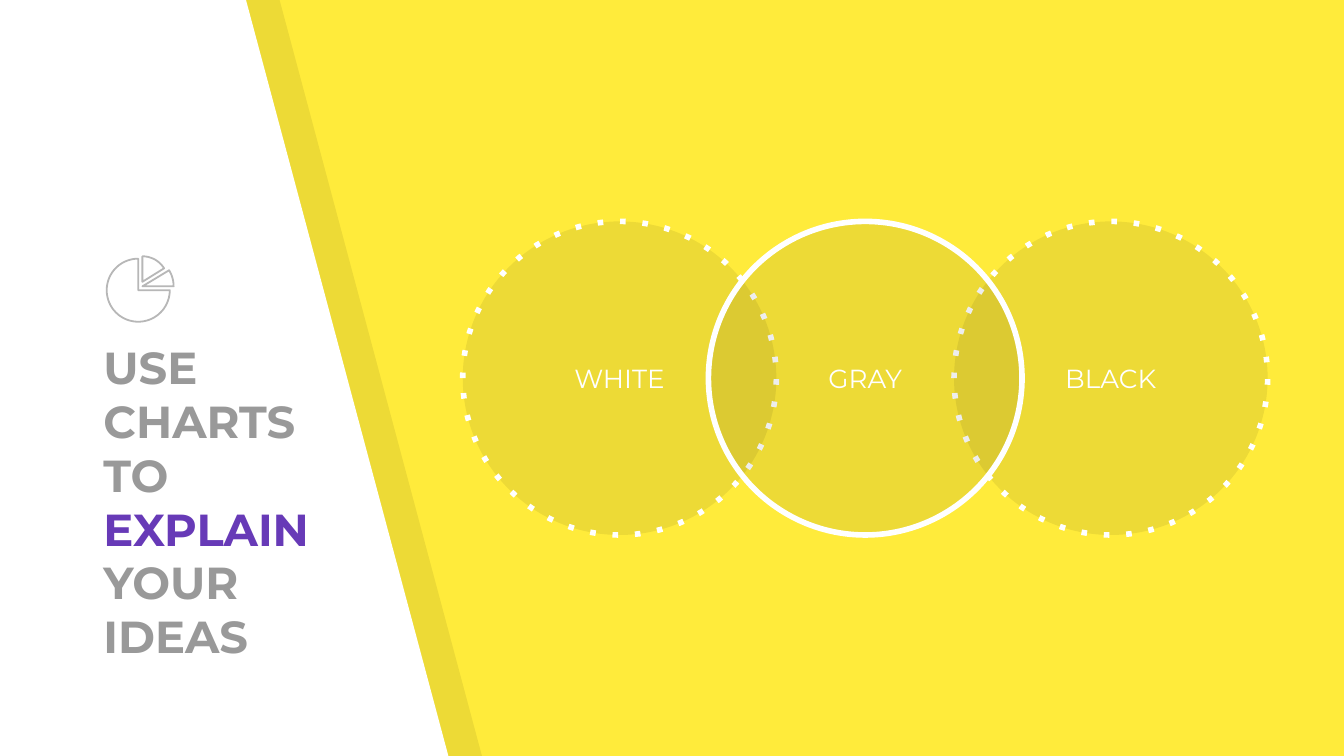
from dataclasses import dataclass
from math import cos, radians, sin

from lxml import etree
from pptx import Presentation
from pptx import util as u
from pptx.dml.color import RGBColor
from pptx.enum import dml, shapes, text
from pptx.oxml.ns import qn


@dataclass(frozen=True)
class Theme:
    back: str = "FFEB3B"
    white: str = "FFFFFF"
    shade: str = "000000"
    gray: str = "999999"
    mark: str = "673AB7"
    icon: str = "B7B7B7"
    font: str = "Montserrat"
    head: int = 24
    label: int = 14
    alpha: int = 7


class Deck:
    def __init__(self, theme):
        self.theme = theme
        self.file = Presentation()
        self.file.slide_width = u.Pt(720)
        self.file.slide_height = u.Pt(405)
        self.slide = self.file.slides.add_slide(self.file.slide_layouts[5])
        self.paint(self.slide.background.fill, theme.back)

    def paint(self, fill, color, alpha=None):
        fill.solid()
        fill.fore_color.rgb = RGBColor.from_string(color)
        if alpha:
            node = next(fill._xPr.iter(qn("a:srgbClr")))
            etree.SubElement(node, qn("a:alpha"), val=str(alpha * 1000))

    def style(self, font, size, color, bold=False):
        font.name = self.theme.font
        font.size = u.Pt(size)
        font.bold = bold
        font.color.rgb = RGBColor.from_string(color)

    def frame(self, shape, anchor):
        box = shape.text_frame
        box.word_wrap = True
        box.auto_size = text.MSO_AUTO_SIZE.NONE
        box.vertical_anchor = anchor
        box.margin_left = box.margin_right = u.Pt(7.2)
        box.margin_top = box.margin_bottom = u.Pt(7.2)
        return box.paragraphs[0]

    def outline(self, shape, color, width):
        shape.line.color.rgb = RGBColor.from_string(color)
        shape.line.width = u.Pt(width)

    def poly(self, points, home=None):
        spots = [(u.Pt(x), u.Pt(y)) for x, y in points]
        home = home or self.slide.shapes
        pen = home.build_freeform(*spots[0], scale=1.0)
        pen.add_line_segments(spots[1:], close=True)
        shape = pen.convert_to_shape()
        shape.shadow.inherit = False
        return shape

    def panel(self, left, color, alpha=None):
        shape = self.poly([(left, -0.7), (left, 406.1),
                           (left + 241.9, 406.1), (left + 133.2, 0)])
        self.paint(shape.fill, color, alpha)
        shape.line.fill.background()

    def title(self, parts, left, top, width, height):
        shape = self.slide.shapes.title
        shape.left, shape.top = u.Pt(left), u.Pt(top)
        shape.width, shape.height = u.Pt(width), u.Pt(height)
        para = self.frame(shape, text.MSO_ANCHOR.BOTTOM)
        para.alignment = text.PP_ALIGN.LEFT
        for words, color in parts:
            run = para.add_run()
            run.text = words
            self.style(run.font, self.theme.head, color, True)
        self.slide.shapes._spTree.append(shape._element)

    def ring(self, words, left, top, size, dots):
        theme = self.theme
        shape = self.slide.shapes.add_shape(
            shapes.MSO_SHAPE.OVAL, u.Pt(left), u.Pt(top), u.Pt(size), u.Pt(size))
        shape.shadow.inherit = False
        self.paint(shape.fill, theme.shade, theme.alpha)
        self.outline(shape, theme.white, 3)
        if dots:
            shape.line.dash_style = dml.MSO_LINE.ROUND_DOT
            next(shape._element.iter(qn("a:prstDash"))).set("val", "dot")
        para = self.frame(shape, text.MSO_ANCHOR.MIDDLE)
        para.text = words
        para.alignment = text.PP_ALIGN.CENTER
        self.style(para.font, theme.label, theme.white)

    def pie(self, wedges):
        group = self.slide.shapes.add_group_shape()
        for x, y, radius, start, end in wedges:
            count = (end - start) // 3
            turns = [radians(start + (end - start) * i / count)
                     for i in range(count + 1)]
            arc = [(x + radius * cos(t), y + radius * sin(t)) for t in turns]
            shape = self.poly([(x, y)] + arc, group.shapes)
            shape.fill.background()
            self.outline(shape, self.theme.icon, 0.96)


def main():
    theme = Theme()
    deck = Deck(theme)
    deck.panel(16.6, theme.shade, theme.alpha)
    deck.panel(-1.4, theme.white)
    deck.title([("USE CHARTS TO ", theme.gray), ("EXPLAIN", theme.mark),
                (" YOUR IDEAS", theme.gray)], 48.2, 324, 126.7, 38.2)
    for words, step in (("WHITE", 0), ("BLACK", 2), ("GRAY", 1)):
        deck.ring(words, 247.9 + step * 131.6, 118.6, 168, step != 1)
    deck.pie([(74.1, 155.5, 16.9, 0, 270),
              (76.3, 151, 13.7, -90, -32),
              (76.3, 153.4, 16.7, -31, 0)])
    deck.file.save("out.pptx")


if __name__ == "__main__":
    main()
